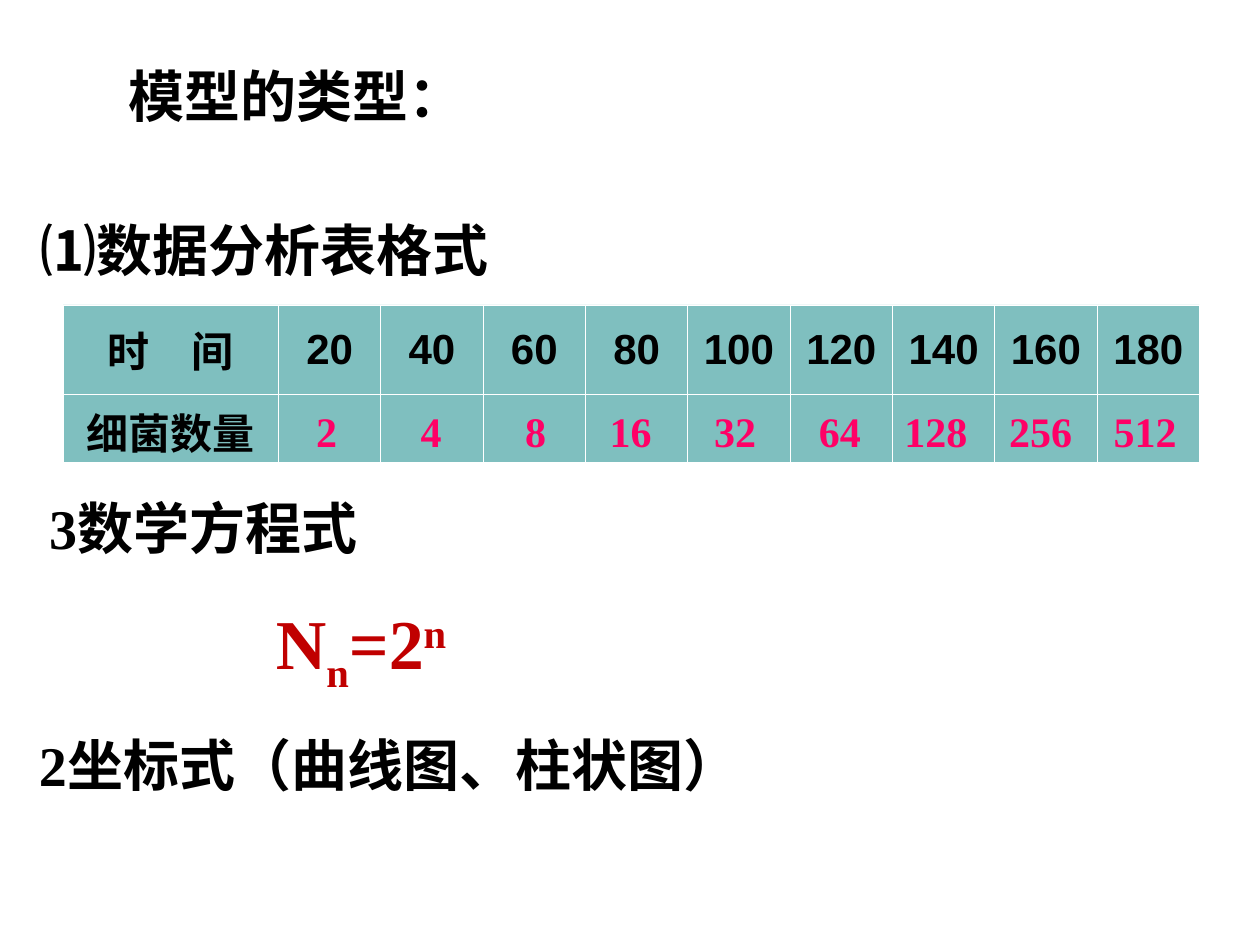
from lxml import etree
from pptx import Presentation
from pptx.dml.color import RGBColor
from pptx.enum.lang import MSO_LANGUAGE_ID as Lang
from pptx.enum.text import MSO_ANCHOR as Anchor, MSO_AUTO_SIZE as AutoSize, PP_ALIGN as Align
from pptx.oxml.ns import qn
from pptx.util import Inches, Pt

SERIF, SANS = "Times New Roman", "Arial"
BLACK, WHITE, TEAL, RED, PINK = "000000", "FFFFFF", "008080", "C00000", "FF0066"
TIMES = range(20, 200, 20)


def rgb(value):
    return RGBColor.from_string(value)


def style(p, size, color, name=SERIF):
    font = p.font
    font.name, font.size, font.bold = name, Pt(size), True
    font.color.rgb = rgb(color)
    font.language_id = Lang.SIMPLIFIED_CHINESE


def set_frame(tf, inset_x=0, inset_y=0, auto_size=AutoSize.SHAPE_TO_FIT_TEXT):
    tf.word_wrap = True
    tf.auto_size = auto_size
    tf.vertical_anchor = Anchor.TOP
    tf.margin_left = tf.margin_right = Inches(inset_x)
    tf.margin_top = tf.margin_bottom = Inches(inset_y)


def add_title(slide, text, x, y, w, h):
    sp = slide.shapes.title
    sp.left, sp.top, sp.width, sp.height = map(Inches, (x, y, w, h))
    set_frame(sp.text_frame, auto_size=AutoSize.NONE)
    p = sp.text_frame.paragraphs[0]
    p.text = text
    p.alignment, p.line_spacing, p.space_before = Align.LEFT, 0.9, Pt(0)
    style(p, 32, BLACK)


def add_line(slide, runs, x, y, w, h, size=32, color=BLACK):
    """Place one line of text; runs are (text, baseline in percent)."""
    sp = slide.shapes.add_textbox(*map(Inches, (x, y, w, h)))
    set_frame(sp.text_frame)
    p = sp.text_frame.paragraphs[0]
    p.line_spacing = 0.9
    style(p, size, color)
    for text, baseline in runs:
        r = p.add_run()
        r.text = text
        if baseline:
            r.font._element.set("baseline", str(baseline * 1000))


def format_cell(cell):
    cell.fill.solid()
    cell.fill.fore_color.rgb = rgb(TEAL)
    tc_pr = cell._tc.get_or_add_tcPr()
    # Half-transparent fill
    fill_color = tc_pr.find(qn("a:solidFill"))[0]
    etree.SubElement(fill_color, qn("a:alpha"), val="50000")
    # Thin white borders, which come before the fill
    for i, side in enumerate(("lnL", "lnR", "lnT", "lnB")):
        ln = etree.Element(qn(f"a:{side}"), w=str(Pt(0.45)))
        fill = etree.SubElement(ln, qn("a:solidFill"))
        etree.SubElement(fill, qn("a:srgbClr"), val=WHITE)
        tc_pr.insert(i, ln)


def add_growth_table(slide, x, y, w, h):
    label_w, head_h = 1.71, 0.71
    table = slide.shapes.add_table(
        2, len(TIMES) + 1, *map(Inches, (x, y, w, h))).table
    table.first_row = table.horz_banding = False
    for i, col in enumerate(table.columns):
        col.width = Inches((w - label_w) / len(TIMES) if i else label_w)
    for row, height in zip(table.rows, (head_h, h - head_h)):
        row.height = Inches(height)
    for cell in table.iter_cells():
        format_cell(cell)

    # Header row and row label
    labels = [(0, i, str(t)) for i, t in enumerate(TIMES, 1)]
    for row, col, text in [(0, 0, "时　间"), (1, 0, "细菌数量")] + labels:
        cell = table.cell(row, col)
        cell.vertical_anchor = Anchor.MIDDLE
        p = cell.text_frame.paragraphs[0]
        p.text, p.alignment = text, Align.CENTER
        style(p, 24, BLACK, SANS)


def add_counts(slide, x, y, h):
    """Lay the counts over the lower row, three for each number of digits."""
    pitch = 0.83
    groups = [(0, 0.79), (2.33, 1.01), (4.67, 1.21)]  # offset, box width
    for i in range(len(TIMES)):
        offset, w = groups[i // 3]
        left = x + offset + i % 3 * pitch
        sp = slide.shapes.add_textbox(*map(Inches, (left, y, w, h)))
        set_frame(sp.text_frame, 0.1, 0.05)
        p = sp.text_frame.paragraphs[0]
        p.text = str(2 ** (i + 1))
        style(p, 24, PINK)


def main():
    prs = Presentation()
    prs.slide_width, prs.slide_height = Inches(10), Inches(7.5)
    slide = prs.slides.add_slide(prs.slide_layouts[5])

    add_title(slide, "模型的类型：", 1.02, 0.55, 2.27, 0.48)

    # Data table
    add_line(slide, [("⑴数据分析表格式", 0)], 0.32, 1.77, 10.09, 0.48)
    add_growth_table(slide, 0.5, 2.42, 9.02, 1.25)
    add_counts(slide, 2.41, 3.17, 0.5)

    # Equation
    add_line(slide, [("3数学方程式", 0)], 0.39, 3.98, 3.83, 0.48)
    add_line(slide, [("N", 0), ("n", -25), ("=2", 0), ("n", 30)],
             2.19, 4.77, 1.67, 0.68, 40, RED)

    # Coordinate charts
    add_line(slide, [("2坐标式（曲线图、柱状图）", 0)], 0.31, 5.86, 5.94, 0.48)

    prs.save("out.pptx")


if __name__ == "__main__":
    main()
